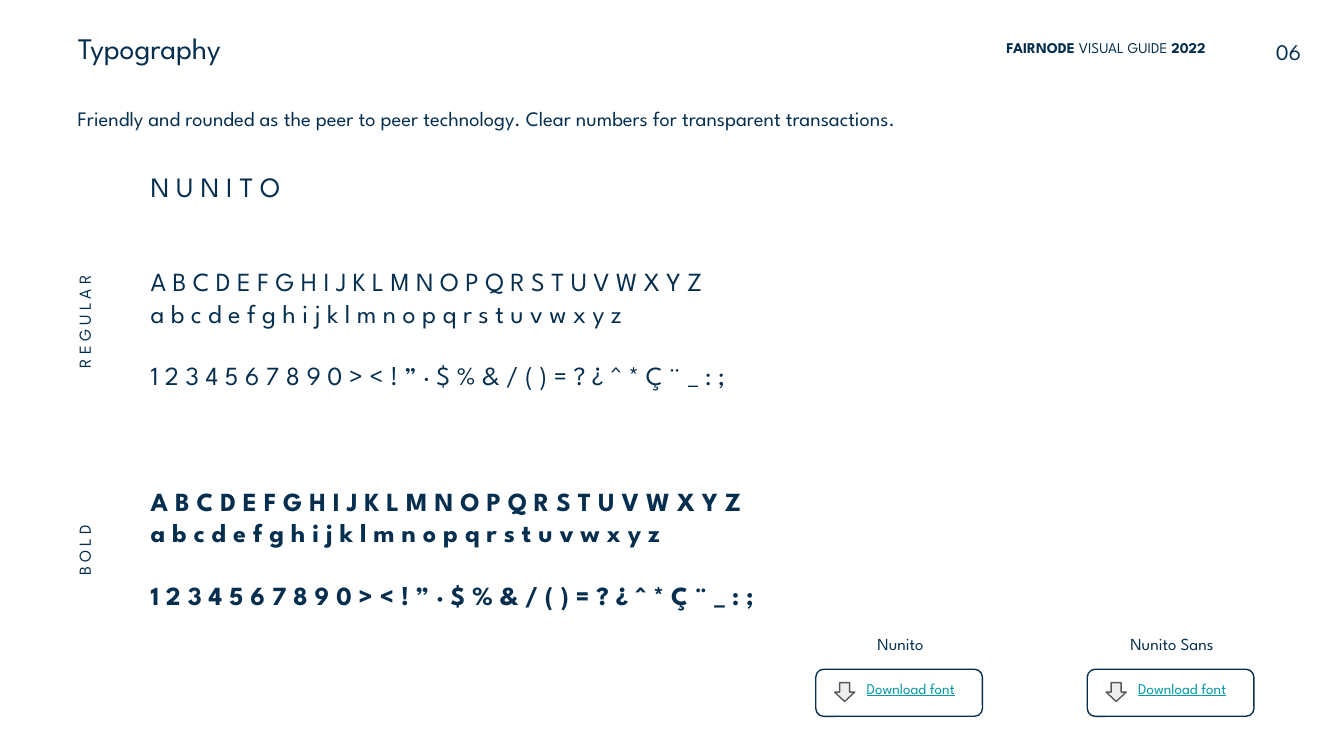
from lxml.etree import SubElement
from pptx import Presentation
from pptx.dml.color import RGBColor
from pptx.enum.shapes import MSO_SHAPE
from pptx.enum.text import MSO_ANCHOR, MSO_AUTO_SIZE, PP_ALIGN
from pptx.oxml.ns import qn
from pptx.util import Inches, Pt

FONT = "League Spartan"
NAVY, TEAL, GREY, PALE = "062F4F", "0097A7", "595959", "EEEEEE"
UPPER = "A B C D E F G H I J K L M N O P Q R S T U V W X Y Z"
LOWER = "a b c d e f g h i j k l m n o p q r s t u v w x y z"
SIGNS = "1 2 3 4 5 6 7 8 9 0 > < ! ” · $ % & / ( ) = ? ¿ ^ * Ç ¨ _ : ;"


def paint(target, color):
    """Set a colour from a hex string on a font, fill or line."""
    if hasattr(target, "solid"):
        target.solid()
        target.fore_color.rgb = RGBColor.from_string(color)
    else:
        target.color.rgb = RGBColor.from_string(color)


def place(shape, left, top, width, height):
    """Move and size a shape in inches."""
    shape.left, shape.top = Inches(left), Inches(top)
    shape.width, shape.height = Inches(width), Inches(height)


def setup(shape, anchor=MSO_ANCHOR.TOP, fit=MSO_AUTO_SIZE.SHAPE_TO_FIT_TEXT):
    """Give a text shape its margins, wrapping, fit and anchor."""
    frame = shape.text_frame
    frame.word_wrap = True
    frame.auto_size = fit
    frame.vertical_anchor = anchor
    frame.margin_left = frame.margin_right = Inches(0.1)
    frame.margin_top = frame.margin_bottom = Inches(0.1)


def write(shape, text, size=9, color=NAVY, bold=False, line=False,
          align=PP_ALIGN.LEFT, gap=0):
    """Add a paragraph of plain text or of (text, bold) runs."""
    frame = shape.text_frame
    para = frame.add_paragraph() if frame.text else frame.paragraphs[0]
    props = para._p.get_or_add_pPr()
    props.set("marL", "0")
    props.set("indent", "0")
    SubElement(props, qn("a:buNone"))
    para.alignment = align
    para.space_before = Pt(gap)
    for part, heavy in [(text, bold)] if isinstance(text, str) else text:
        run = para.add_run()
        run.text = part
        font = run.font
        font.name, font.size, font.bold = FONT, Pt(size), heavy
        font.underline = line
        paint(font, color)


def label(slide, box, text, turn=0, anchor=MSO_ANCHOR.TOP,
          fit=MSO_AUTO_SIZE.SHAPE_TO_FIT_TEXT, **style):
    """Add a text box with one paragraph."""
    shape = slide.shapes.add_textbox(0, 0, 0, 0)
    place(shape, *box)
    shape.rotation = turn
    setup(shape, anchor, fit)
    write(shape, text, **style)


def outline(slide, kind, box, color, fill=None):
    """Add a thin-lined preset shape, filled or open."""
    shape = slide.shapes.add_shape(kind, *map(Inches, box))
    shape.shadow.inherit = False
    if fill:
        paint(shape.fill, fill)
    else:
        shape.fill.background()
    paint(shape.line, color)
    shape.line.width = Pt(0.75)


def button(slide, left, name):
    """Add a font name above its download button."""
    label(slide, (left - 0.02, 4.64, 1.3, 0.35), name, align=PP_ALIGN.CENTER)
    outline(slide, MSO_SHAPE.ROUNDED_RECTANGLE, (left, 4.98, 1.24, 0.35), NAVY)
    outline(slide, MSO_SHAPE.DOWN_ARROW, (left + 0.14, 5.08, 0.15, 0.14),
            GREY, PALE)
    label(slide, (left + 0.28, 4.99, 1, 0.34), "Download font",
          size=8, color=TEAL, line=True)


def sample(body):
    """Fill the body with the regular and bold alphabets."""
    write(body, "N U N I T O", size=15)
    for bold, gap in ((False, 33.6), (True, 50.4)):
        write(body, UPPER, size=14, bold=bold, gap=gap)
        write(body, LOWER, size=14, bold=bold)
        write(body, SIGNS, size=14, bold=bold, gap=16.8)


def main():
    """Build the typography slide."""
    deck = Presentation()
    deck.slide_width = Inches(10)
    deck.slide_height = deck.slide_width * 9 // 16
    slide = deck.slides.add_slide(deck.slide_layouts[1])
    title, body = slide.placeholders
    place(title, 0.48, 0.12, 5.14, 0.47)
    setup(title)
    write(title, "Typography", size=16)
    place(body, 1.02, 1.16, 5.26, 3.7)
    setup(body)
    sample(body)

    label(slide, (7.39, 0.22, 1.88, 0.34),
          [("FAIRNODE", True), (" VISUAL GUIDE ", False), ("2022", True)],
          size=8)
    label(slide, (9.31, 0.17, 0.47, 0.43), "06", size=12,
          align=PP_ALIGN.RIGHT, anchor=MSO_ANCHOR.MIDDLE,
          fit=MSO_AUTO_SIZE.NONE)
    label(slide, (0.48, 0.7, 7.77, 0.39),
          "Friendly and rounded as the peer to peer technology. "
          "Clear numbers for transparent transactions.", size=11)
    for top, name in ((2.22, "R E G U L A R"), (3.92, "B O L D")):
        label(slide, (0, top, 1.3, 0.35), name, turn=270,
              align=PP_ALIGN.CENTER)
    for left, name in ((6.07, "Nunito"), (8.09, "Nunito Sans")):
        button(slide, left, name)
    deck.save("out.pptx")


if __name__ == "__main__":
    main()
